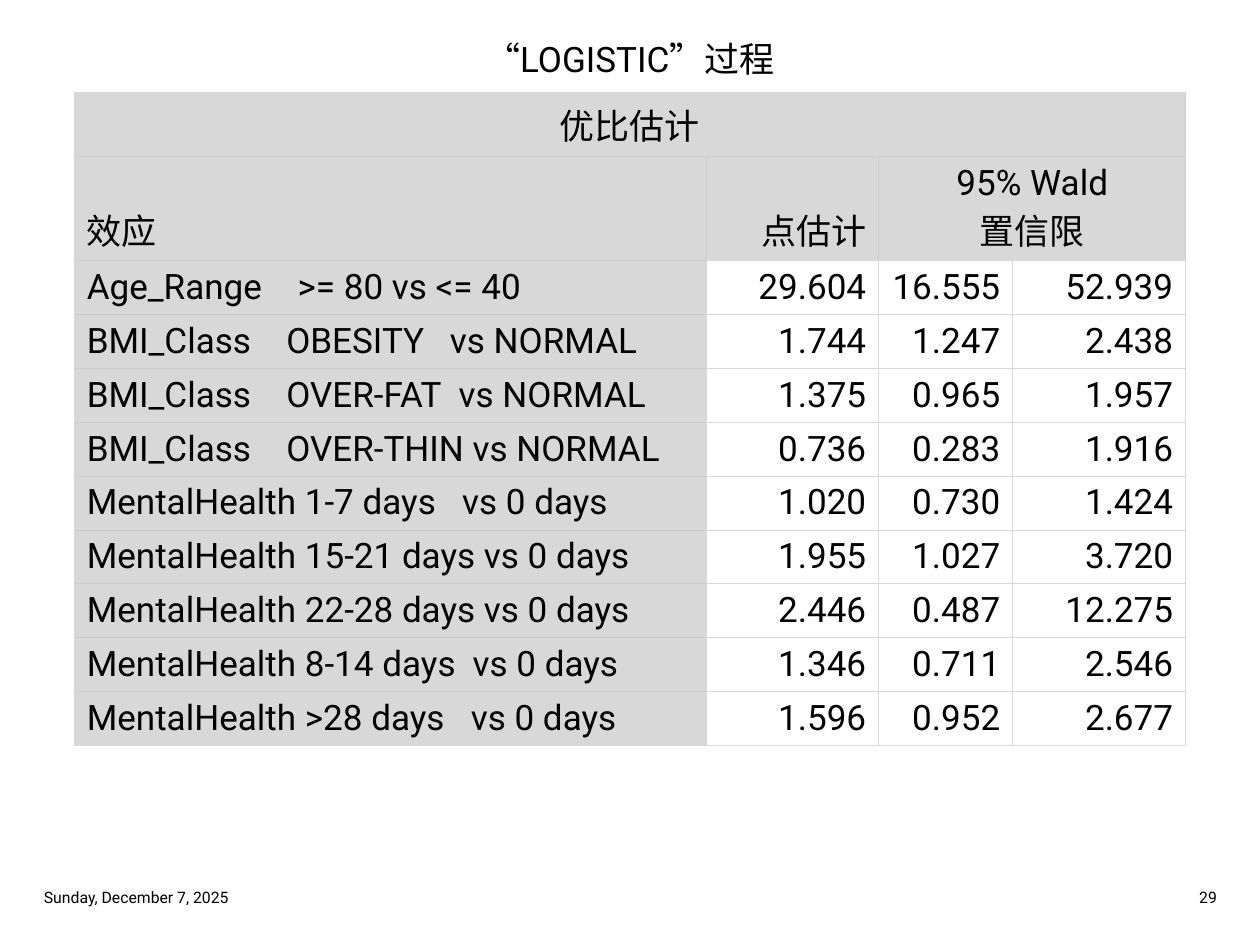
from lxml.etree import SubElement
from pptx import Presentation
from pptx.dml.color import RGBColor
from pptx.enum.text import MSO_ANCHOR, PP_ALIGN
from pptx.oxml.ns import qn
from pptx.util import Pt

TITLE = "“LOGISTIC”过程"
DATE = "Sunday, December 7, 2025"
PAGE = "29"
CAPTION = "优比估计"
HEADINGS = ("效应", "点估计", "95% Wald\v置信限")
ODDS_RATIOS = [
    ("Age_Range\t>= 80 vs <= 40", (120.5,), "29.604", "16.555", "52.939"),
    ("BMI_Class\tOBESITY\tvs NORMAL", (114, 207.5), "1.744", "1.247", "2.438"),
    ("BMI_Class\tOVER-FAT\tvs NORMAL", (114, 212.5), "1.375", "0.965", "1.957"),
    ("BMI_Class\tOVER-THIN vs NORMAL", (114,), "0.736", "0.283", "1.916"),
    ("MentalHealth 1-7 days\tvs 0 days", (214.5,), "1.020", "0.730", "1.424"),
    ("MentalHealth 15-21 days vs 0 days", (), "1.955", "1.027", "3.720"),
    ("MentalHealth 22-28 days vs 0 days", (), "2.446", "0.487", "12.275"),
    ("MentalHealth 8-14 days\tvs 0 days", (220.5,), "1.346", "0.711", "2.546"),
    ("MentalHealth >28 days\tvs 0 days", (219.5,), "1.596", "0.952", "2.677"),
]
COLORS = {"text": "000000", "shade": "D8D8D8", "outline": "D8D8D8", "rule": "CCCCCC"}
COLUMN_WIDTHS = (361, 98.8, 76.6, 98.8)
ROW_HEIGHTS = (30.4, 49.8) + (30.4,) * len(ODDS_RATIOS)
TABLE_LEFT, TABLE_TOP = 42.4, 53
FOOTER_TOP, FOOTER_WIDTH, FOOTER_HEIGHT = 503.3, 171.4, 18.7


def write(frame, text, size, align, stops=()):
    """Fill a text frame with one styled paragraph."""
    paragraph = frame.paragraphs[0]
    paragraph.text = text
    paragraph.alignment = align
    if stops:
        tabs = SubElement(paragraph._p.get_or_add_pPr(), qn("a:tabLst"))
        for stop in stops:
            SubElement(tabs, qn("a:tab"), pos=str(Pt(stop)), algn="l")
    paragraph.font.size = Pt(size)
    paragraph.font.name = "Roboto"
    paragraph.font.color.rgb = RGBColor.from_string(COLORS["text"])


def style_cell(cell, row, column):
    """Draw the borders and fill of a table cell."""
    shaded = row < 2 or column == 0
    inner = COLORS["rule" if shaded else "outline"]
    on_edge = {
        "a:lnL": column == 0,
        "a:lnR": False,
        "a:lnT": row == 0,
        "a:lnB": row == len(ROW_HEIGHTS) - 1,
    }
    properties = cell._tc.get_or_add_tcPr()
    for side, outer in on_edge.items():
        line = SubElement(properties, qn(side), w=str(Pt(0.5)))
        fill = SubElement(line, qn("a:solidFill"))
        SubElement(fill, qn("a:srgbClr"), val=COLORS["outline"] if outer else inner)
    if shaded:
        cell.fill.solid()
        cell.fill.fore_color.rgb = RGBColor.from_string(COLORS["shade"])
    else:
        cell.fill.background()
    cell.vertical_anchor = MSO_ANCHOR.BOTTOM if row < 2 else MSO_ANCHOR.TOP


def add_odds_table(slide):
    """Add the odds ratio table."""
    table = slide.shapes.add_table(
        len(ROW_HEIGHTS), len(COLUMN_WIDTHS), Pt(TABLE_LEFT), Pt(TABLE_TOP),
        Pt(sum(COLUMN_WIDTHS)), Pt(sum(ROW_HEIGHTS))).table
    table.first_row = table.horz_banding = False
    for column, width in zip(table.columns, COLUMN_WIDTHS):
        column.width = Pt(width)
    for row, height in zip(table.rows, ROW_HEIGHTS):
        row.height = Pt(height)
    for row in range(len(ROW_HEIGHTS)):
        for column in range(len(COLUMN_WIDTHS)):
            style_cell(table.cell(row, column), row, column)
    table.cell(0, 0).merge(table.cell(0, 3))
    table.cell(1, 2).merge(table.cell(1, 3))

    write(table.cell(0, 0).text_frame, CAPTION, 20, PP_ALIGN.CENTER)
    heading_aligns = (PP_ALIGN.LEFT, PP_ALIGN.RIGHT, PP_ALIGN.CENTER)
    for column, (heading, align) in enumerate(zip(HEADINGS, heading_aligns)):
        write(table.cell(1, column).text_frame, heading, 20, align)
    for row, (effect, stops, *estimates) in enumerate(ODDS_RATIOS, start=2):
        write(table.cell(row, 0).text_frame, effect, 20, PP_ALIGN.LEFT, stops)
        for column, estimate in enumerate(estimates, start=1):
            write(table.cell(row, column).text_frame, estimate, 20, PP_ALIGN.RIGHT)


def main():
    """Build the odds ratio slide."""
    presentation = Presentation()
    presentation.slide_width, presentation.slide_height = Pt(720), Pt(540)
    slide = presentation.slides.add_slide(presentation.slide_layouts[5])

    title = slide.shapes.title
    title.left, title.top, title.width, title.height = Pt(18), Pt(18), Pt(684), Pt(30.4)
    title.text_frame.vertical_anchor = MSO_ANCHOR.TOP
    write(title.text_frame, TITLE, 20, PP_ALIGN.CENTER)

    add_odds_table(slide)

    for left, text, align in ((18, DATE, PP_ALIGN.LEFT), (531, PAGE, PP_ALIGN.RIGHT)):
        footer = slide.shapes.add_textbox(
            Pt(left), Pt(FOOTER_TOP), Pt(FOOTER_WIDTH), Pt(FOOTER_HEIGHT)).text_frame
        footer.word_wrap = True
        footer.vertical_anchor = MSO_ANCHOR.MIDDLE
        write(footer, text, 9, align)

    presentation.save("out.pptx")


if __name__ == "__main__":
    main()
